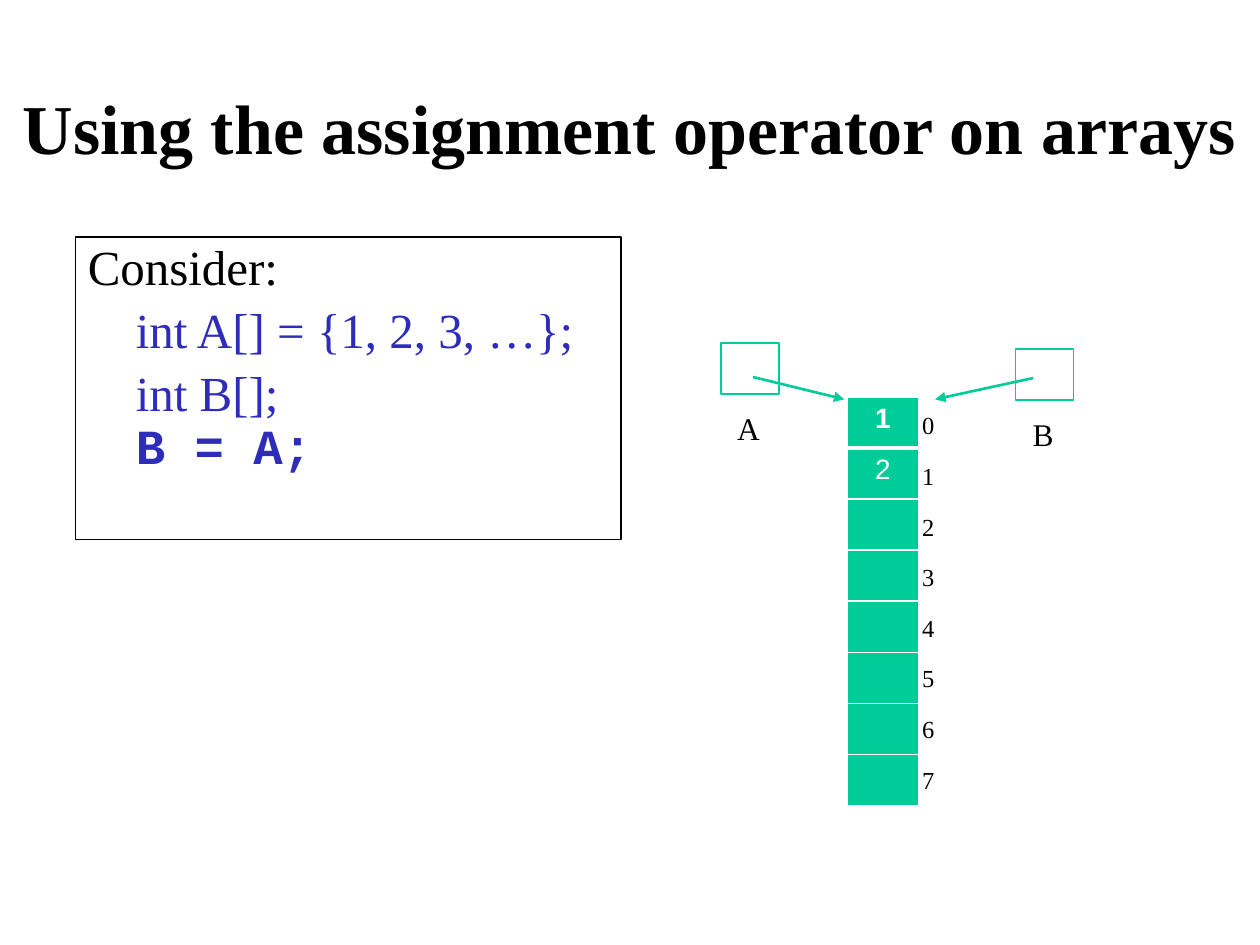
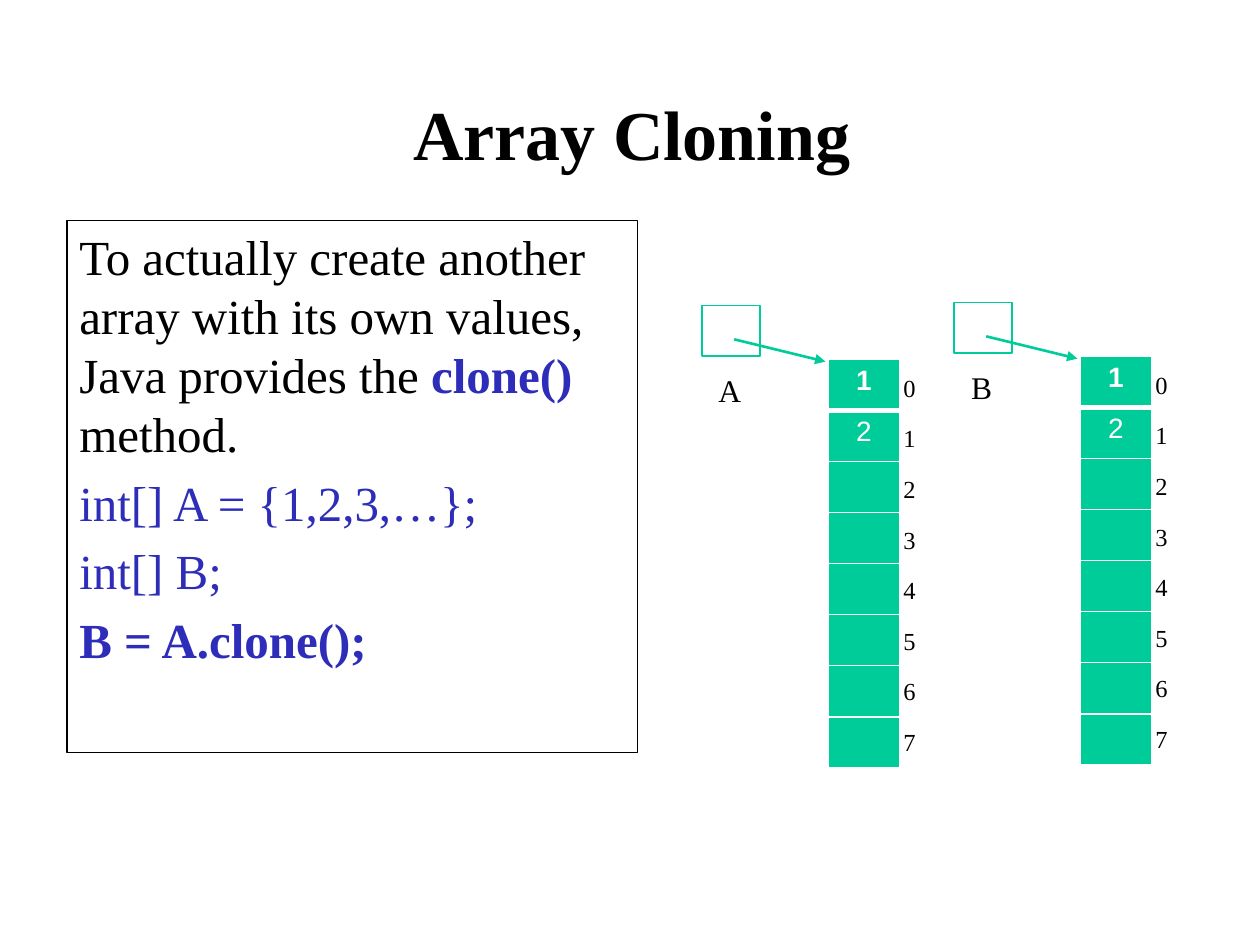
from dataclasses import dataclass

from lxml import etree
from pptx import Presentation
from pptx import util as u
from pptx.dml.color import RGBColor
from pptx.enum import shapes, text
from pptx.oxml.ns import qn


@dataclass(frozen=True)
class Theme:
    ink: str = "000000"
    code: str = "2D2DB9"
    accent: str = "00CC99"
    paper: str = "FFFFFF"
    serif: str = "Times New Roman"
    sans: str = "Arial"
    mono: str = "Courier New"
    title: int = 40
    body: int = 28
    label: int = 18
    value: int = 16
    index: int = 14


THEME = Theme()
CENTER = text.PP_ALIGN.CENTER
CELL_COUNT = 8
CELL_WIDTH = 1.45
CELL_HEIGHT = 1.03
INDEX_PITCH = 1.02
CODE_INDENT = 0.97
BODY_GAP = 5.6


def cm(*lengths):
    return [u.Cm(length) for length in lengths]


def write(paragraph, words, size=THEME.body, font=THEME.serif, color=THEME.ink,
          bold=False, align=None, before=None, spacing=None, indent=None):
    if indent:
        paragraph._p.get_or_add_pPr().set("marL", str(u.Cm(indent)))
    if align is not None:
        paragraph.alignment = align
    if before is not None:
        paragraph.space_before = u.Pt(before)
    if spacing is not None:
        paragraph.line_spacing = spacing
    run = paragraph.add_run()
    run.text = words
    run.font.size = u.Pt(size)
    run.font.name = font
    run.font.bold = bold
    run.font.color.rgb = RGBColor.from_string(color)


def add_label(slide, words, place, anchor=text.MSO_ANCHOR.TOP, **style):
    frame = slide.shapes.add_textbox(*cm(*place)).text_frame
    frame.word_wrap = True
    frame.vertical_anchor = anchor
    write(frame.paragraphs[0], words, **style)


def add_title(slide, words, place):
    add_label(slide, words, place, text.MSO_ANCHOR.MIDDLE,
              size=THEME.title, bold=True, align=CENTER)


def add_outline(slide, place, color, width):
    outline = slide.shapes.add_shape(shapes.MSO_SHAPE.RECTANGLE, *cm(*place))
    outline.shadow.inherit = False
    outline.fill.background()
    outline.line.color.rgb = RGBColor.from_string(color)
    outline.line.width = u.Pt(width)
    return outline


def add_explanation(slide, place, lines):
    frame = add_outline(slide, place, THEME.ink, 0.75).text_frame
    frame.word_wrap = True
    frame.vertical_anchor = text.MSO_ANCHOR.TOP
    for number, runs in enumerate(lines):
        paragraph = frame.add_paragraph() if number else frame.paragraphs[0]
        paragraph.alignment = text.PP_ALIGN.LEFT
        for words, style in runs:
            write(paragraph, words, **style)


def add_arrow(slide, start, tip):
    arrow = slide.shapes.add_connector(shapes.MSO_CONNECTOR.STRAIGHT, *cm(*start, *tip))
    arrow.line.color.rgb = RGBColor.from_string(THEME.accent)
    arrow.line.width = u.Pt(1.5)
    etree.SubElement(arrow.line._get_or_add_ln(), qn("a:tailEnd"), type="triangle")
    etree.SubElement(arrow._element.spPr, qn("a:effectLst"))


def set_border(cell, side, width):
    border = etree.SubElement(cell._tc.get_or_add_tcPr(), qn(f"a:ln{side}"), w=str(u.Pt(width)))
    fill = etree.SubElement(border, qn("a:solidFill"))
    etree.SubElement(fill, qn("a:srgbClr"), val=THEME.paper)


def add_array(slide, left, top, values=("1", "2")):
    cells = slide.shapes.add_table(
        CELL_COUNT, 1, *cm(left, top, CELL_WIDTH, CELL_COUNT * CELL_HEIGHT)).table
    cells.first_row = cells.horz_banding = False
    cells.columns[0].width = u.Cm(CELL_WIDTH)
    for index in range(CELL_COUNT):
        cells.rows[index].height = u.Cm(CELL_HEIGHT)
        cell = cells.cell(index, 0)
        for side in "LRTB":
            heavy = (index, side) in ((0, "B"), (1, "T"))
            set_border(cell, side, 3 if heavy else 1)
        cell.fill.solid()
        cell.fill.fore_color.rgb = RGBColor.from_string(THEME.accent)
        if index < len(values):
            write(cell.text_frame.paragraphs[0], values[index], size=THEME.value,
                  font=THEME.sans, color=THEME.paper, bold=index == 0, align=CENTER)
        add_label(slide, str(index),
                  (left + 1.27, top + 0.15 + index * INDEX_PITCH, 0.76, 0.86),
                  size=THEME.index)


def add_reference(slide, name, left, top, tip, tail=(0.65, 0.68)):
    add_label(slide, name, (left - 1, top + 1.2, 3.12, 1.02),
              size=THEME.label, align=CENTER)
    add_outline(slide, (left, top, 1.17, 1.02), THEME.accent, 1)
    add_arrow(slide, (left + tail[0], top + tail[1]), tip)


def add_referenced_array(slide, name, left, top):
    add_array(slide, left, top)
    add_reference(slide, name, left - 2.54, top - 1.08, (left - 0.05, top + 0.05))


def build_assignment(slide):
    add_title(slide, "Using the assignment operator on arrays", (0.13, 1.02, 25.1, 3.05))
    tight = dict(spacing=0.9)
    code = dict(tight, color=THEME.code, indent=CODE_INDENT)
    add_explanation(slide, (1.52, 4.78, 11, 6.1), [
        [("Consider:", tight)],
        [("int A[] = {1, 2, 3, …};", dict(code, before=BODY_GAP))],
        [("int B[];", dict(code, before=BODY_GAP))],
        [("B = A;", dict(code, font=THEME.mono, bold=True, before=0))],
    ])
    add_referenced_array(slide, "A", 17.07, 8)
    add_reference(slide, "B", 20.47, 7.04, tip=(18.85, 8.05), tail=(0.36, 0.58))


def build_cloning(slide):
    add_title(slide, "Array Cloning", (1.9, 1.7, 21.67, 1.93))
    code = dict(color=THEME.code, before=BODY_GAP)
    add_explanation(slide, (1.35, 4.45, 11.5, 10.72), [
        [("To actually create another array with its own values, Java provides the ", {}),
         ("clone() ", dict(color=THEME.code, bold=True)),
         ("method.", {})],
        [("int[] A = {1,2,3,…};", code)],
        [("int[] B;", code)],
        [("B = A.clone();", dict(code, bold=True))],
    ])
    add_referenced_array(slide, "A", 16.69, 7.24)
    add_referenced_array(slide, "B", 21.77, 7.18)


def main():
    deck = Presentation()
    deck.slide_width, deck.slide_height = cm(25.4, 19.05)
    blank = deck.slide_layouts[6]
    for build in (build_assignment, build_cloning):
        build(deck.slides.add_slide(blank))
    deck.save("out.pptx")


if __name__ == "__main__":
    main()
